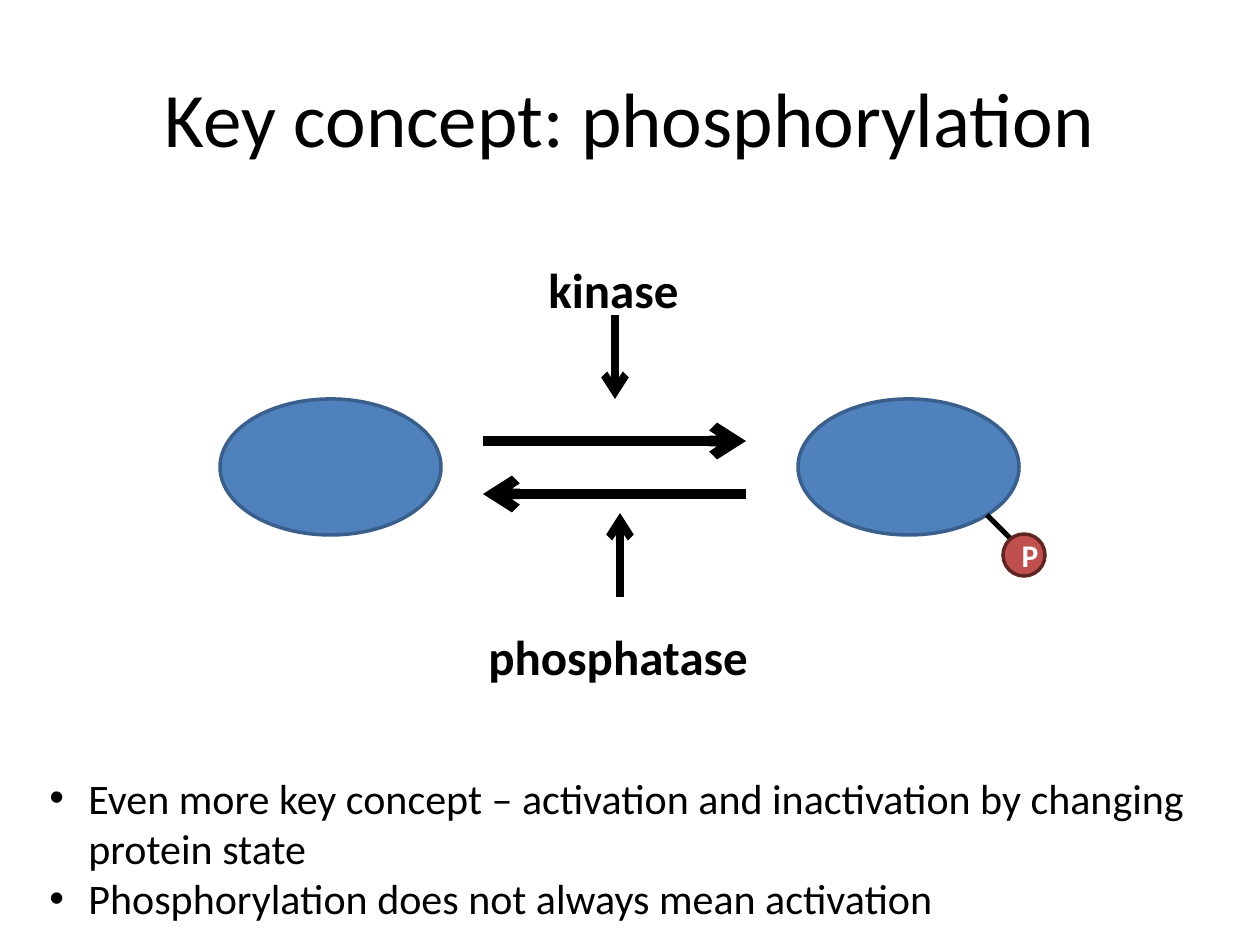
from pptx import Presentation
from pptx.dml.color import RGBColor
from pptx.enum.shapes import MSO_CONNECTOR, MSO_SHAPE
from pptx.enum.text import MSO_ANCHOR, MSO_AUTO_SIZE, PP_ALIGN
from pptx.oxml.ns import qn
from pptx.util import Emu, Pt
from lxml.etree import SubElement

BLACK = RGBColor(0x00, 0x00, 0x00)
WHITE = RGBColor(0xFF, 0xFF, 0xFF)
PROTEIN_BLUE = RGBColor(0x4F, 0x81, 0xBD)
PROTEIN_EDGE = RGBColor(0x3A, 0x5F, 0x8C)
PHOSPHATE_RED = RGBColor(0xC0, 0x50, 0x4D)
PHOSPHATE_EDGE = RGBColor(0x63, 0x25, 0x23)


def px(length):
    return Emu(round(length * 914400 / 126))


class SlideBuilder:
    font_name = "Calibri"

    def __init__(self, slide):
        self.slide = slide

    def style(self, paragraph, size, color=BLACK, bold=False):
        font = paragraph.font
        font.name, font.size, font.bold = self.font_name, Pt(size), bold
        font.color.rgb = color

    def text(self, box, lines, size, bold=False, wrap=True, bullets=False,
             grow=True, anchor=MSO_ANCHOR.TOP, align=PP_ALIGN.LEFT):
        frame = self.slide.shapes.add_textbox(*map(px, box)).text_frame
        frame.word_wrap = wrap
        frame.auto_size = MSO_AUTO_SIZE.SHAPE_TO_FIT_TEXT if grow else MSO_AUTO_SIZE.NONE
        frame.vertical_anchor = anchor
        frame.text = "\n".join(lines)
        for paragraph in frame.paragraphs:
            paragraph.alignment = align
            if bullets:
                self.bullet(paragraph)
            self.style(paragraph, size, bold=bold)

    def bullet(self, paragraph, indent=39):
        properties = paragraph._p.get_or_add_pPr()
        properties.set("marL", str(px(indent)))
        properties.set("indent", str(-px(indent)))
        SubElement(properties, qn("a:buFont")).set("typeface", "Arial")
        SubElement(properties, qn("a:buChar")).set("char", "•")

    def shape(self, kind, box, fill, edge, label=None):
        shape = self.slide.shapes.add_shape(kind, *map(px, box))
        shape.shadow.inherit = False
        shape.fill.solid()
        shape.fill.fore_color.rgb = fill
        shape.line.color.rgb = edge
        shape.line.width = Pt(2)
        if label:
            frame = shape.text_frame
            frame.text = label
            frame.vertical_anchor = MSO_ANCHOR.MIDDLE
            frame.paragraphs[0].alignment = PP_ALIGN.CENTER
            self.style(frame.paragraphs[0], 18, WHITE, bold=True)

    def line(self, start, end, width, arrow=True):
        line = self.slide.shapes.add_connector(
            MSO_CONNECTOR.STRAIGHT, *map(px, start + end))
        line.line.color.rgb = BLACK
        line.line.width = Pt(width)
        properties = line._element.spPr
        if arrow:
            SubElement(properties.find(qn("a:ln")), qn("a:tailEnd")).set("type", "arrow")
        SubElement(properties, qn("a:effectLst"))


def main():
    presentation = Presentation()
    presentation.slide_width, presentation.slide_height = px(1260), px(945)
    builder = SlideBuilder(presentation.slides.add_slide(presentation.slide_layouts[6]))

    builder.text((63, 38, 1134, 158), ["Key concept: phosphorylation"], 44,
                 grow=False, anchor=MSO_ANCHOR.MIDDLE, align=PP_ALIGN.CENTER)

    for protein_left in (220, 798):
        builder.shape(MSO_SHAPE.OVAL, (protein_left, 399, 221, 136),
                      PROTEIN_BLUE, PROTEIN_EDGE)
    builder.line((987, 515), (1018, 546), 3, arrow=False)
    builder.shape(MSO_SHAPE.FLOWCHART_CONNECTOR, (1003, 534, 42, 42),
                  PHOSPHATE_RED, PHOSPHATE_EDGE, "P")

    builder.line((483, 441), (746, 441), 6)
    builder.line((746, 494), (483, 494), 6)

    builder.line((615, 315), (615, 399), 4.5)
    builder.text((536, 253, 158, 72), ["kinase"], 28, bold=True, wrap=False)
    builder.line((620, 597), (620, 513), 4.5)
    builder.text((476, 620, 287, 72), ["phosphatase"], 28, bold=True, wrap=False)

    builder.text((37, 766, 1166, 165), [
        "Even more key concept – activation and inactivation by changing protein state",
        "Phosphorylation does not always mean activation",
    ], 24, bullets=True)

    presentation.save("out.pptx")


if __name__ == "__main__":
    main()
